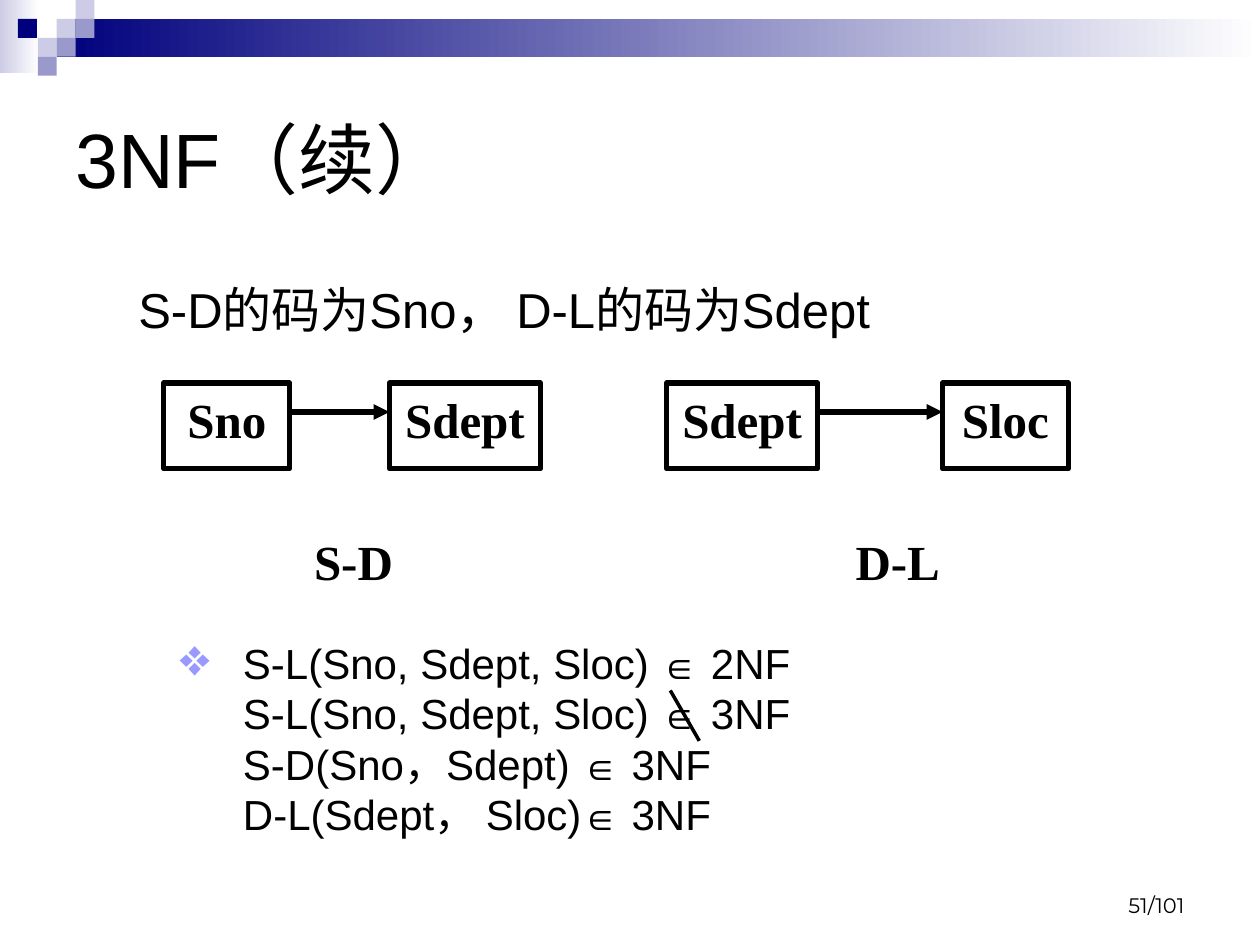
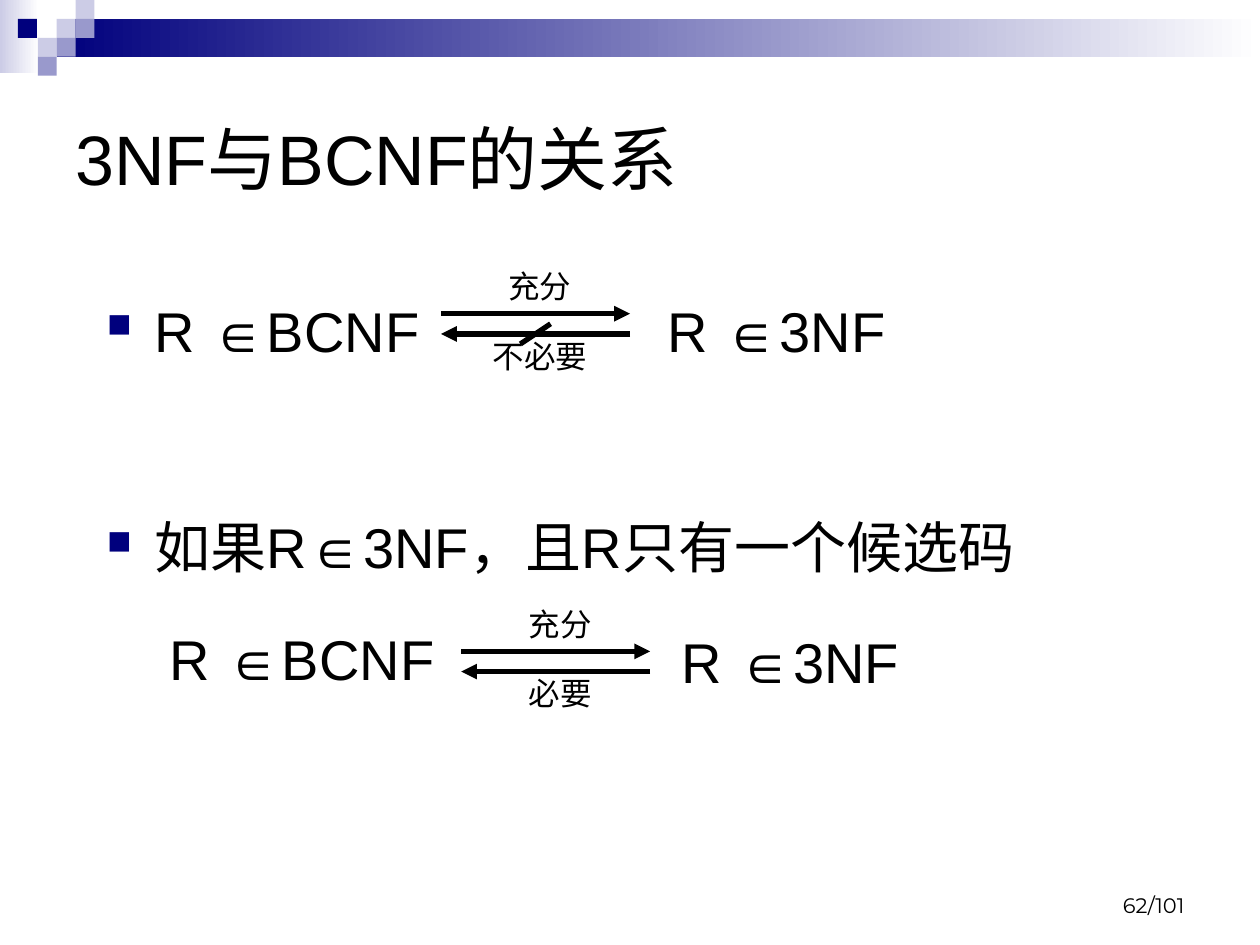
from lxml.etree import SubElement
from pptx import Presentation
from pptx.dml.color import RGBColor
from pptx.enum.shapes import MSO_CONNECTOR as Conn, MSO_SHAPE as Shape
from pptx.enum.text import MSO_ANCHOR as Anchor, MSO_AUTO_SIZE as Fit, PP_ALIGN as Align
from pptx.oxml.ns import qn
from pptx.util import Inches, Pt

COLORS = {"ink": "000000", "navy": "00007D", "violet": "9999CC",
          "pale": "CCCCE6", "white": "FFFFFF", "bullet": "9999FF"}
WIDTH, HEIGHT, MARGIN = 10, 7.5, 0.5
TOTAL_PAGES = 101

# Header: gradient bands and a mosaic of (column, row, colour) on a square grid
TILE = 0.15
BANDS = [((0, 0, 0.31, 0.58), "pale"), ((3 * TILE, TILE, WIDTH - 3 * TILE, 2 * TILE), "navy")]
MOSAIC = [(3, 1, "pale"), (4, 0, "pale"), (4, 1, "violet"), (2, 2, "pale"),
          (0.95, 1, "navy"), (3, 2, "violet"), (2, 3, "violet")]

# Text formats
ARIAL = {"name": "Arial", "bold": False}
BODY, SUB, LIST, NOTE = ({**ARIAL, "size": Pt(n)} for n in (32, 28, 24, 18))
SERIF = {"name": "Times New Roman", "size": Pt(28), "bold": True}
PAGE = {"name": "Montserrat", "size": Pt(12), "bold": False}

# Slide 1: attributes as (text, left, width), and relation names
KEYS_TEXT = "S-D的码为Sno， D-L的码为Sdept"
RELATIONS = [
    ("S-D", (2.3, 1.01), [("Sno", 1.3, 1), ("Sdept", 3.09, 1.2)]),
    ("D-L", (6.68, 0.89), [("Sdept", 5.29, 1.2), ("Sloc", 7.48, 1)]),
]
BOX_TOP, BOX_HEIGHT, NAME_TOP, ARROW_Y = 3.04, 0.68, 4.17, 3.27
NORMAL_FORMS = [("S-L(Sno, Sdept, Sloc) ", " 2NF"), ("S-L(Sno, Sdept, Sloc) ", " 3NF"),
                ("S-D(Sno，Sdept) ", " 3NF"), ("D-L(Sdept， Sloc)", " 3NF")]

# Slide 2: statements left of the arrows, conclusions right of them, and arrow pairs
SQUARE = ("■", "navy", 60)
STATEMENTS = [
    ("R ∈BCNF", {"left": 0.38, "hang": 0.38, "spacing": 1.4, "before": 6.4, "bullet": SQUARE}),
    ("如果R∈3NF，且R只有一个候选码",
     {"left": 0.38, "hang": 0.38, "spacing": 1.5, "before": 66, "bullet": SQUARE}),
    ("R ∈BCNF", {"left": 0.5, "spacing": 1.5, "before": 6.4}),
]
STATEMENTS_TOP = 2.09
CONCLUSION = "R ∈3NF"
CONCLUSIONS_AT = [(5.2, STATEMENTS_TOP), (5.31, STATEMENTS_TOP + 2.63)]
IMPLICATIONS = [(3.5, 2.49, "充分", "不必要", True), (3.66, 5.17, "充分", "必要", False)]
ARROW_LENGTH, ARROW_GAP = 1.5, 0.16


def rgb(name):
    return RGBColor.from_string(COLORS[name])


def add_run(p, text, font):
    r = p.add_run()
    r.text = text
    for key, value in font.items():
        setattr(r.font, key, value)
    r.font.color.rgb = rgb("ink")


def format_paragraph(p, left=0, hang=0, spacing=None, before=None, bullet=None):
    if spacing:
        p.line_spacing = spacing
    if before:
        p.space_before = Pt(before)
    pPr = p._p.get_or_add_pPr()
    pPr.set("marL", str(Inches(left)))
    pPr.set("indent", str(-Inches(hang)))
    if bullet:
        char, color, percent = bullet
        SubElement(SubElement(pPr, qn("a:buClr")), qn("a:srgbClr"), val=COLORS[color])
        SubElement(pPr, qn("a:buSzPct"), val=str(percent * 1000))
        SubElement(pPr, qn("a:buChar"), char=char)


def add_rect(s, at):
    sp = s.shapes.add_shape(Shape.RECTANGLE, *map(Inches, at))
    sp.shadow.inherit = False
    return sp


def add_text(s, at, lines, anchor=Anchor.TOP, align=Align.LEFT, wrap=True, sp=None):
    """Each line is (runs, paragraph format); each run is (text, font)."""
    tf = (sp or s.shapes.add_textbox(*map(Inches, at))).text_frame
    for key, value in {"word_wrap": wrap, "vertical_anchor": anchor, "auto_size": Fit.NONE}.items():
        setattr(tf, key, value)
    for i, (runs, fmt) in enumerate(lines):
        p = tf.add_paragraph() if i else tf.paragraphs[0]
        p.alignment = align
        format_paragraph(p, **fmt)
        for text, font in runs:
            add_run(p, text, font)
    return tf


def add_line(s, start, end, width=3, arrow=False):
    c = s.shapes.add_connector(Conn.STRAIGHT, *map(Inches, start + end))
    c.line.color.rgb = rgb("ink")
    c.line.width = Pt(width)
    spPr = c._element.spPr
    if arrow:
        SubElement(spPr.find(qn("a:ln")), qn("a:tailEnd"), type="triangle")
    SubElement(spPr, qn("a:effectLst"))


def add_header(s):
    for at, color in BANDS:
        sp = add_rect(s, at)
        sp.line.fill.background()
        sp.fill.gradient()
        sp.fill.gradient_angle = 0
        for stop, position, name in zip(sp.fill.gradient_stops, (0, 1), (color, "white")):
            stop.position = position
            stop.color.rgb = rgb(name)
    for column, row, color in MOSAIC:
        sp = add_rect(s, (column * TILE, row * TILE, TILE, TILE))
        sp.line.fill.background()
        sp.fill.solid()
        sp.fill.fore_color.rgb = rgb(color)


def new_slide(prs, title, size, page):
    s = prs.slides.add_slide(prs.slide_layouts[5])
    add_header(s)
    sp = s.shapes.title
    sp.left, sp.top, sp.width, sp.height = map(Inches, (MARGIN, 0.5, WIDTH - 2 * MARGIN, 1.5))
    add_text(s, None, [([(title, {**ARIAL, "size": Pt(size)})], {})], Anchor.MIDDLE, sp=sp)
    add_text(s, (7.17, 6.83, 2.33, 0.5), [([(f"{page}/{TOTAL_PAGES}", PAGE)], {})],
             Anchor.BOTTOM, Align.RIGHT)
    return s


def build_decomposition(prs):
    s = new_slide(prs, "3NF（续）", 44, 51)
    add_text(s, (MARGIN, 2.17, 9, 0.8),
             [([(KEYS_TEXT, SUB)], {"left": 0.81, "hang": 0.31, "before": 5.6})])

    # Dependency diagrams
    for name, (left, width), attributes in RELATIONS:
        for text, x, w in attributes:
            at = (x, BOX_TOP, w, BOX_HEIGHT)
            sp = add_rect(s, at)
            sp.fill.background()
            sp.line.color.rgb = rgb("ink")
            sp.line.width = Pt(3)
            add_text(s, at, [([(text, SERIF)], {})], align=Align.CENTER, sp=sp)
        (_, x1, w1), (_, x2, _) = attributes
        add_line(s, (x1 + w1, ARROW_Y), (x2, ARROW_Y), arrow=True)
        add_text(s, (left, NAME_TOP, width, BOX_HEIGHT), [([(name, SERIF)], {})], align=Align.CENTER)

    # Normal forms, the second one struck out
    member = {**LIST, "size": Pt(22)}
    lines = [([(relation, LIST), ("∈", member), (form, LIST)],
              {"left": 0.85, "hang": 0 if i else 0.5, "bullet": None if i else ("❖", "bullet", 125)})
             for i, (relation, form) in enumerate(NORMAL_FORMS)]
    add_text(s, (0.98, 5.01, 5.75, 1.7), lines)
    add_line(s, (5.32, 5.48), (5.55, 5.88), width=2)


def build_comparison(prs):
    s = new_slide(prs, "3NF与BCNF的关系", 40, 62)
    add_text(s, (0.75, STATEMENTS_TOP, 8.5, 4.5),
             [([(text, BODY)], fmt) for text, fmt in STATEMENTS])
    for x, y in CONCLUSIONS_AT:
        add_text(s, (x, y, 2.5, 0.9), [([(CONCLUSION, BODY)], {"spacing": 1.4, "before": 6.4})])

    # Arrow pairs with a label above and below
    for x, y, above, below, struck in IMPLICATIONS:
        end, lower = x + ARROW_LENGTH, y + ARROW_GAP
        add_line(s, (x, y), (end, y), arrow=True)
        add_line(s, (end, lower), (x, lower), arrow=True)
        if struck:
            add_line(s, (x + 0.87, lower - 0.08), (x + 0.63, lower + 0.08))
        for text, top in ((above, y - 0.32), (below, y + 0.23)):
            tf = add_text(s, (x, top, 1.57, 0.24), [([(text, NOTE)], {"spacing": 0.9})],
                          Anchor.MIDDLE, Align.CENTER, wrap=False)
            tf.margin_top = tf.margin_bottom = 0


def main():
    prs = Presentation()
    prs.slide_width, prs.slide_height = Inches(WIDTH), Inches(HEIGHT)
    build_decomposition(prs)
    build_comparison(prs)
    prs.save("out.pptx")


if __name__ == "__main__":
    main()
